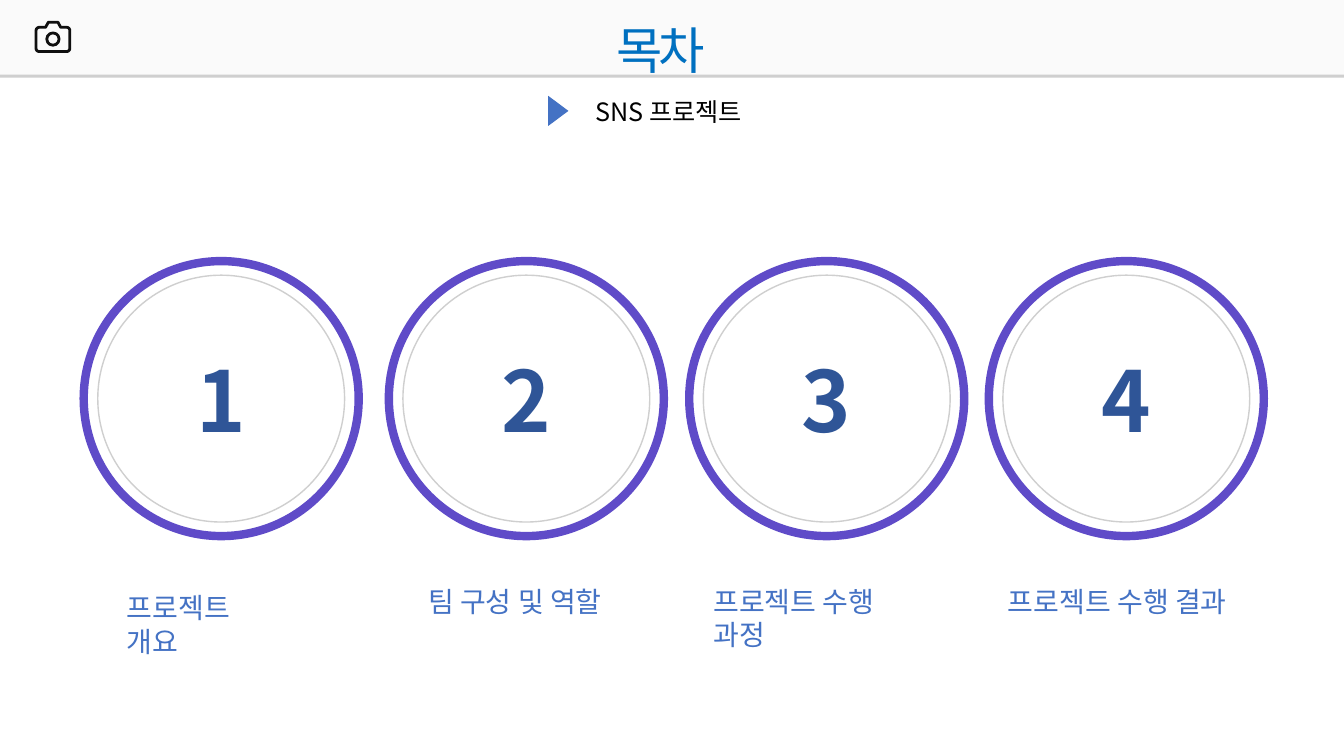
from math import cos, radians, sin

from pptx import Presentation, util as u
from pptx.dml.color import RGBColor
from pptx.enum import shapes, text
from pptx.oxml.ns import qn

FONT = "Noto Sans CJK KR"
HUES = {
    "ring": "5F4BC8", "rim": "CFCFCF", "digit": "2F5597", "label": "4472C4",
    "title": "0070C0", "bar": "FAFAFA", "icon": "0F0F0F", "text": "000000",
}
KIND = shapes.MSO_SHAPE
RING, RIM, RING_TOP = 6.93, 6.22, 6.58
# ring left, label left, label top, label width, label
STEPS = [
    (2.11, 2.95, 14.76, 4.29, "프로젝트 개요"),
    (9.8, 10.54, 14.6, 5.2, "팀 구성 및 역할"),
    (17.37, 17.73, 14.6, 5.51, "프로젝트 수행 과정"),
    (24.92, 25.15, 14.6, 6.7, "프로젝트 수행 결과"),
]


def color(name):
    return RGBColor.from_string(HUES[name])


def paint(shape, fill=None, line=None, width=1):
    shape.shadow.inherit = False
    if fill:
        shape.fill.solid()
        shape.fill.fore_color.rgb = color(fill)
    else:
        shape.fill.background()
    if line:
        shape.line.color.rgb = color(line)
        shape.line.width = u.Pt(width)
    else:
        shape.line.fill.background()


def add_form(slide, kind, box, **look):
    shape = slide.shapes.add_shape(kind, *map(u.Cm, box))
    paint(shape, **look)
    return shape


def write(shape, words, size, hue, bold=False, center=False, track=0):
    """Fill the shape with one paragraph; track is letter spacing in points."""
    para = shape.text_frame.paragraphs[0]
    para.text = words
    para.alignment = text.PP_ALIGN.CENTER if center else text.PP_ALIGN.LEFT
    font = para.font
    font.size, font.bold, font.name = u.Pt(size), bold, FONT
    font.color.rgb = color(hue)
    props = para._p.pPr.find(qn("a:defRPr"))
    props.set("spc", str(track * 100))
    asian = props.makeelement(qn("a:ea"), {"typeface": FONT})
    props.find(qn("a:latin")).addnext(asian)


def add_text(slide, box, words, size, hue, **style):
    label = slide.shapes.add_textbox(*map(u.Cm, box))
    label.text_frame.word_wrap = True
    write(label, words, size, hue, **style)


def add_step(slide, number, left, label_left, label_top, width, words):
    gap = (RING - RIM) / 2
    add_form(slide, KIND.OVAL, (left, RING_TOP, RING, RING), line="ring", width=6)
    rim = add_form(slide, KIND.OVAL, (left + gap, RING_TOP + gap, RIM, RIM), line="rim")
    rim.text_frame.vertical_anchor = text.MSO_ANCHOR.MIDDLE
    write(rim, str(number), 60, "digit", bold=True, center=True)
    add_text(slide, (label_left, label_top, width, 1.12), words, 20, "label")


def add_camera(slide):
    left, right, top, base, curve = 0.91, 1.76, 0.69, 1.3, 0.08
    points = [(1.22, 0.56), (1.46, 0.56), (1.53, top)]
    corners = [
        (right - curve, top + curve, -90), (right - curve, base - curve, 0),
        (left + curve, base - curve, 90), (left + curve, top + curve, 180),
    ]
    for x, y, start in corners:
        for turn in range(start, start + 91, 15):
            angle = radians(turn)
            points.append((x + curve * cos(angle), y + curve * sin(angle)))
    points.append((1.15, top))
    points = [(u.Cm(x), u.Cm(y)) for x, y in points]
    pen = slide.shapes.build_freeform(*points[0])
    pen.add_line_segments(points[1:], close=True)
    paint(pen.convert_to_shape(), line="icon", width=2)
    add_form(slide, KIND.OVAL, (1.18, 0.83, 0.31, 0.31), line="icon", width=2)


def add_header(slide):
    add_form(slide, KIND.RECTANGLE, (0, 0.08, 33.87, 1.88), fill="rim")
    add_form(slide, KIND.RECTANGLE, (0, 0, 33.87, 1.88), fill="bar")
    add_camera(slide)
    add_text(slide, (2.56, 0.36, 28.19, 1.8), "목차", 36, "title", center=True, track=-3)


def main():
    deck = Presentation()
    deck.slide_width, deck.slide_height = u.Cm(33.87), u.Cm(19.05)
    slide = deck.slides.add_slide(deck.slide_layouts[6])
    for number, step in enumerate(STEPS, 1):
        add_step(slide, number, *step)
    arrow = add_form(slide, KIND.ISOSCELES_TRIANGLE, (13.69, 2.54, 0.76, 0.51), fill="label")
    arrow.rotation = 90
    add_header(slide)
    add_text(slide, (14.75, 2.31, 7.15, 1.02), "SNS 프로젝트", 18, "text")
    deck.save("out.pptx")


if __name__ == "__main__":
    main()
